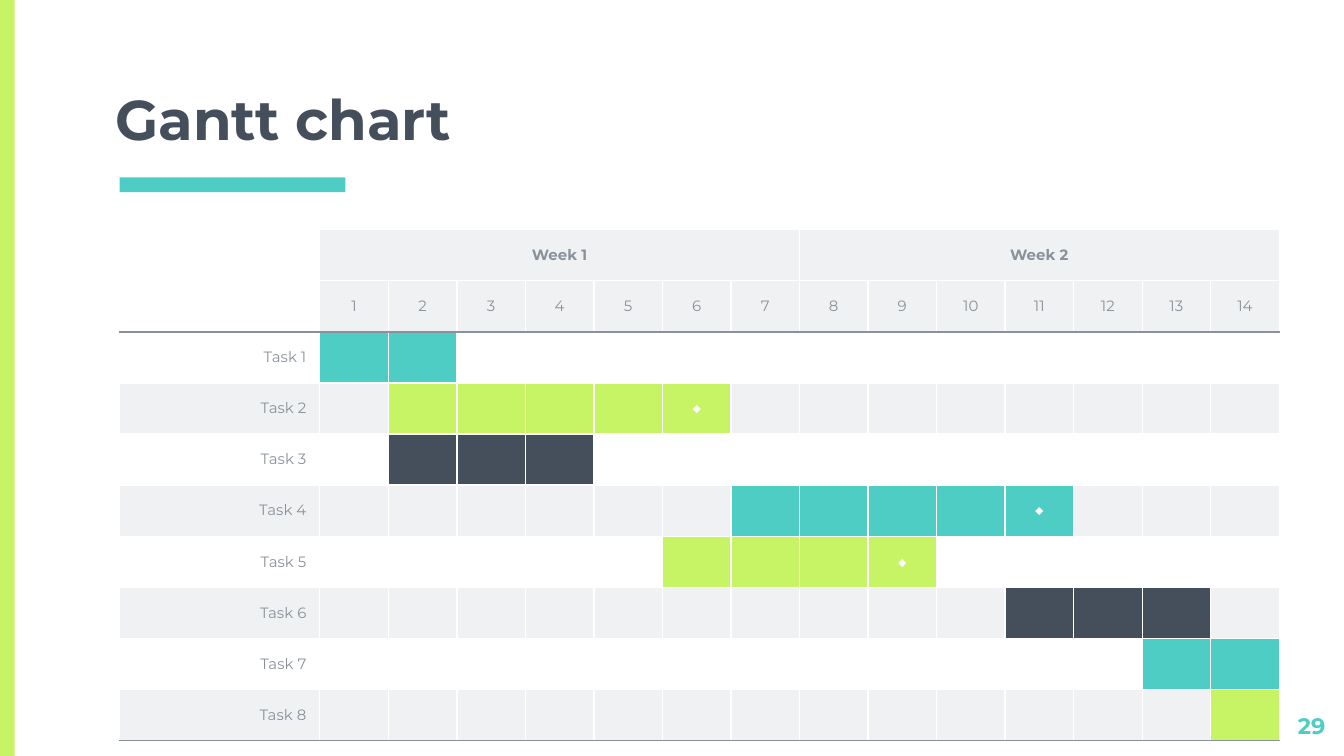
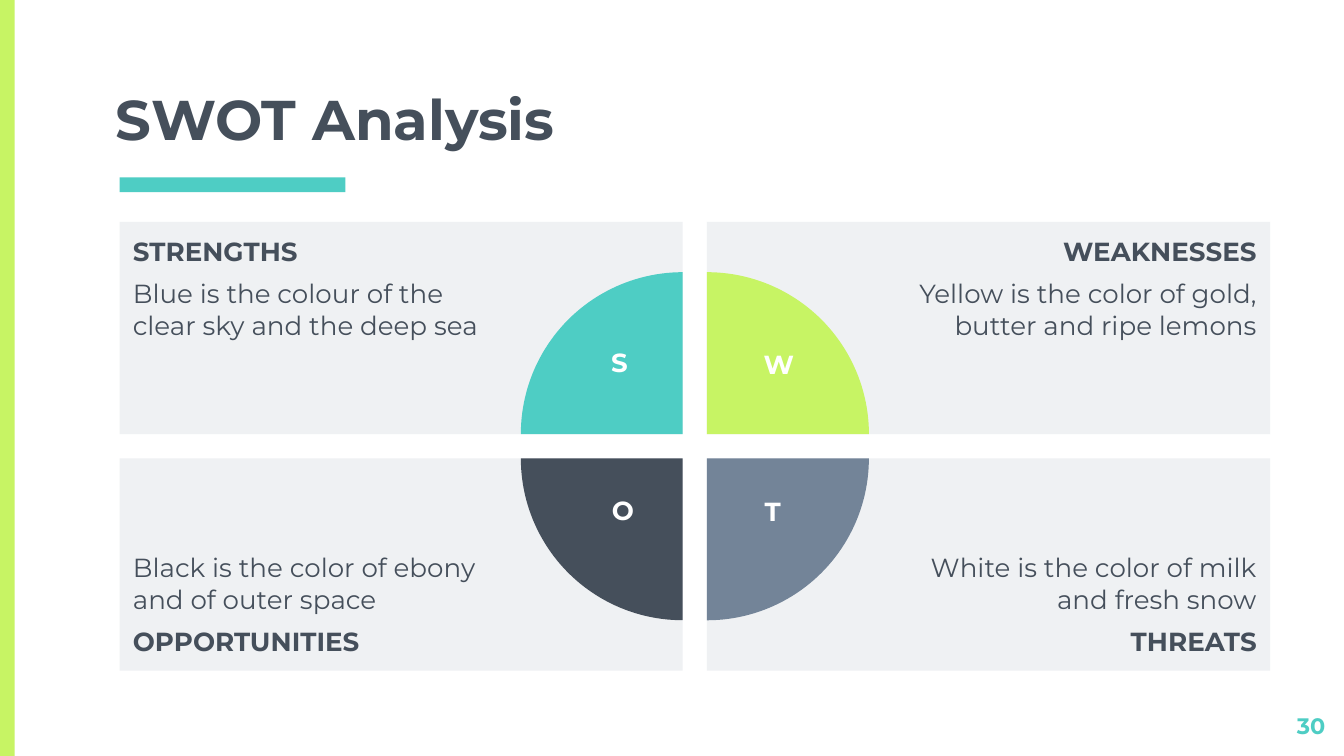
from pptx import Presentation
from pptx import util as u
from pptx.dml.color import RGBColor
from pptx.enum import shapes, text
from pptx.oxml import parse_xml
from pptx.oxml.ns import nsdecls

COLORS = {
    "lime": "C7F464", "teal": "4ECDC4", "dark": "454F5B", "slate": "738498",
    "gray": "89929B", "pale": "EFF1F3", "white": "FFFFFF",
}
FONT = "Montserrat"
LEFT, CENTER, RIGHT = text.PP_ALIGN.LEFT, text.PP_ALIGN.CENTER, text.PP_ALIGN.RIGHT
TOP, BOTTOM = text.MSO_ANCHOR.TOP, text.MSO_ANCHOR.BOTTOM
MARGIN = 0.89
INSET = 0.1


def add_block(page, kind, place, color):
    """Add a preset shape with a flat fill, no line and no shadow."""
    block = page.shapes.add_shape(kind, *[u.Inches(value) for value in place])
    block.shadow.inherit = False
    block.fill.solid()
    block.fill.fore_color.rgb = RGBColor.from_string(COLORS[color])
    block.line.fill.background()
    return block


def write(frame, lines, size, color, align=LEFT, anchor=TOP, insets=(INSET,) * 4):
    """Fill a text frame with (wording, bold) lines; insets run left, top, right, bottom."""
    frame.word_wrap = True
    frame.auto_size = text.MSO_AUTO_SIZE.NONE
    frame.vertical_anchor = anchor
    (frame.margin_left, frame.margin_top,
     frame.margin_right, frame.margin_bottom) = [u.Inches(inset) for inset in insets]
    for index, (wording, bold) in enumerate(lines):
        para = frame.add_paragraph() if index else frame.paragraphs[0]
        para.text = wording
        para.alignment = align
        if index:
            para.space_before = para.space_after = u.Pt(6)
        para.font.name = FONT
        para.font.size = u.Pt(size)
        para.font.bold = bold
        para.font.color.rgb = RGBColor.from_string(COLORS[color])


deck = Presentation()
deck.slide_width, deck.slide_height = u.Inches(10), u.Inches(5.625)

# Shared frame: side band, title, title rule and page number
pages = []
for number, title in ((29, "Gantt chart"), (30, "SWOT Analysis")):
    page = deck.slides.add_slide(deck.slide_layouts[5])
    add_block(page, shapes.MSO_SHAPE.RECTANGLE, (0, 0, 0.11, 5.625), "lime")
    add_block(page, shapes.MSO_SHAPE.RECTANGLE, (MARGIN, 1.32, 1.68, 0.11), "teal")
    heading = page.shapes.title
    heading.left, heading.top = u.Inches(0.76), u.Inches(0.69)
    heading.width, heading.height = u.Inches(8.49), u.Inches(0.54)
    write(heading.text_frame, [(title, True)], 30, "dark", anchor=BOTTOM)
    box = page.shapes.add_textbox(u.Inches(9.36), u.Inches(5.2), u.Inches(0.6), u.Inches(0.34))
    write(box.text_frame, [(str(number), True)], 12, "teal", RIGHT)
    pages.append(page)
gantt_page, swot_page = pages

# Gantt chart: first day, last day, colour, ends with a milestone
TASKS = [
    (1, 2, "teal", False), (2, 6, "lime", True), (2, 4, "dark", False),
    (7, 11, "teal", True), (6, 9, "lime", True), (11, 13, "dark", False),
    (13, 14, "teal", False), (14, 14, "lime", False),
]
DAYS, WEEK, HEADER_ROWS = 14, 7, 2
LABEL_WIDTH, DAY_WIDTH, ROW_HEIGHT = 1.49, 0.51, 0.38
row_count = HEADER_ROWS + len(TASKS)

table = gantt_page.shapes.add_table(
    row_count, DAYS + 1, u.Inches(MARGIN), u.Inches(1.71),
    u.Inches(LABEL_WIDTH + DAYS * DAY_WIDTH), u.Inches(row_count * ROW_HEIGHT)).table
table.first_row = table.horz_banding = False
for day, column in enumerate(table.columns):
    column.width = u.Inches(DAY_WIDTH if day else LABEL_WIDTH)
for row in table.rows:
    row.height = u.Inches(ROW_HEIGHT)

for row in range(row_count):
    for day in range(DAYS + 1):
        cell = table.cell(row, day)
        wording, color, align, fill = "", "gray", CENTER, None
        if row < HEADER_ROWS:
            if day:
                fill = "pale"
                if row:
                    wording = str(day)
                elif day % WEEK == 1:
                    wording = f"Week {day // WEEK + 1}"
        else:
            task = row - HEADER_ROWS + 1
            first, last, bar, milestone = TASKS[task - 1]
            fill = "pale" if task % 2 == 0 else None
            if day == 0:
                wording, align = f"Task {task}", RIGHT
            elif first <= day <= last:
                fill = bar
                if milestone and day == last:
                    wording, color = "◆", "white"
        margin = 0.05 if wording else 0
        write_lines = [(wording, row == 0)]
        para = cell.text_frame.paragraphs[0]
        para.text, para.alignment = wording, align
        para.font.name, para.font.size, para.font.bold = FONT, u.Pt(8), row == 0
        para.font.color.rgb = RGBColor.from_string(COLORS[color])
        cell.vertical_anchor = text.MSO_ANCHOR.MIDDLE
        cell.margin_left = cell.margin_right = u.Inches(INSET)
        cell.margin_top = cell.margin_bottom = u.Inches(margin)
        if fill:
            cell.fill.solid()
            cell.fill.fore_color.rgb = RGBColor.from_string(COLORS[fill])
        else:
            cell.fill.background()
        ruled_sides = {"T": row == HEADER_ROWS, "B": row in (HEADER_ROWS - 1, row_count - 1)}
        for index, side in enumerate("LRTB"):
            line_color = COLORS["gray" if ruled_sides.get(side) else "white"]
            cell._tc.get_or_add_tcPr().insert(index, parse_xml(
                f'<a:ln{side} {nsdecls("a")} w="9525"><a:solidFill>'
                f'<a:srgbClr val="{line_color}"/></a:solidFill></a:ln{side}>'))
for start in range(1, DAYS, WEEK):
    table.cell(0, start).merge(table.cell(0, start + WEEK - 1))

# SWOT: a two by two grid of panels around a split circle
PANEL_WIDTH, PANEL_HEIGHT, GAP, PANEL_TOP = 4.19, 1.58, 0.18, 1.65
PIE_SIZE, PIE_INSET = 2.41, 1.5
QUADRANTS = [  # column, row, heading, body, pie colour, pie rotation
    (0, 0, "STRENGTHS", "Blue is the colour of the clear sky and the deep sea", "teal", 0),
    (1, 0, "WEAKNESSES", "Yellow is the color of gold, butter and ripe lemons", "lime", 90),
    (0, 1, "OPPORTUNITIES", "Black is the color of ebony and of outer space", "dark", 270),
    (1, 1, "THREATS", "White is the color of milk and fresh snow", "slate", 180),
]
LETTERS = [("S", 4.43, 2.53, 0.36), ("W", 5.45, 2.54, 0.69),
           ("O", 4.4, 3.63, 0.47), ("T", 5.56, 3.64, 0.38)]

for column, row, heading, body, color, rotation in QUADRANTS:
    panel = add_block(swot_page, shapes.MSO_SHAPE.RECTANGLE,
                      (MARGIN + column * (PANEL_WIDTH + GAP), PANEL_TOP + row * (PANEL_HEIGHT + GAP),
                       PANEL_WIDTH, PANEL_HEIGHT), "pale")
    lines = [(heading, True), (body, False)]
    write(panel.text_frame, lines[::-1] if row else lines, 14, "dark",
          RIGHT if column else LEFT, BOTTOM if row else TOP,
          (PIE_INSET, INSET, INSET, INSET) if column else (INSET, INSET, PIE_INSET, INSET))

for column, row, heading, body, color, rotation in QUADRANTS:
    center_x = MARGIN + PANEL_WIDTH + column * GAP
    center_y = PANEL_TOP + PANEL_HEIGHT + row * GAP
    pie = add_block(swot_page, shapes.MSO_SHAPE.PIE,
                    (center_x - PIE_SIZE / 2, center_y - PIE_SIZE / 2, PIE_SIZE, PIE_SIZE), color)
    pie.adjustments[0], pie.adjustments[1] = 108, 162
    pie.rotation = rotation

for letter, left, top, width in LETTERS:
    box = swot_page.shapes.add_textbox(u.Inches(left), u.Inches(top), u.Inches(width), u.Inches(0.44))
    write(box.text_frame, [(letter, True)], 14, "white", CENTER, insets=(0, 0.05, 0, 0.05))

deck.save("out.pptx")
